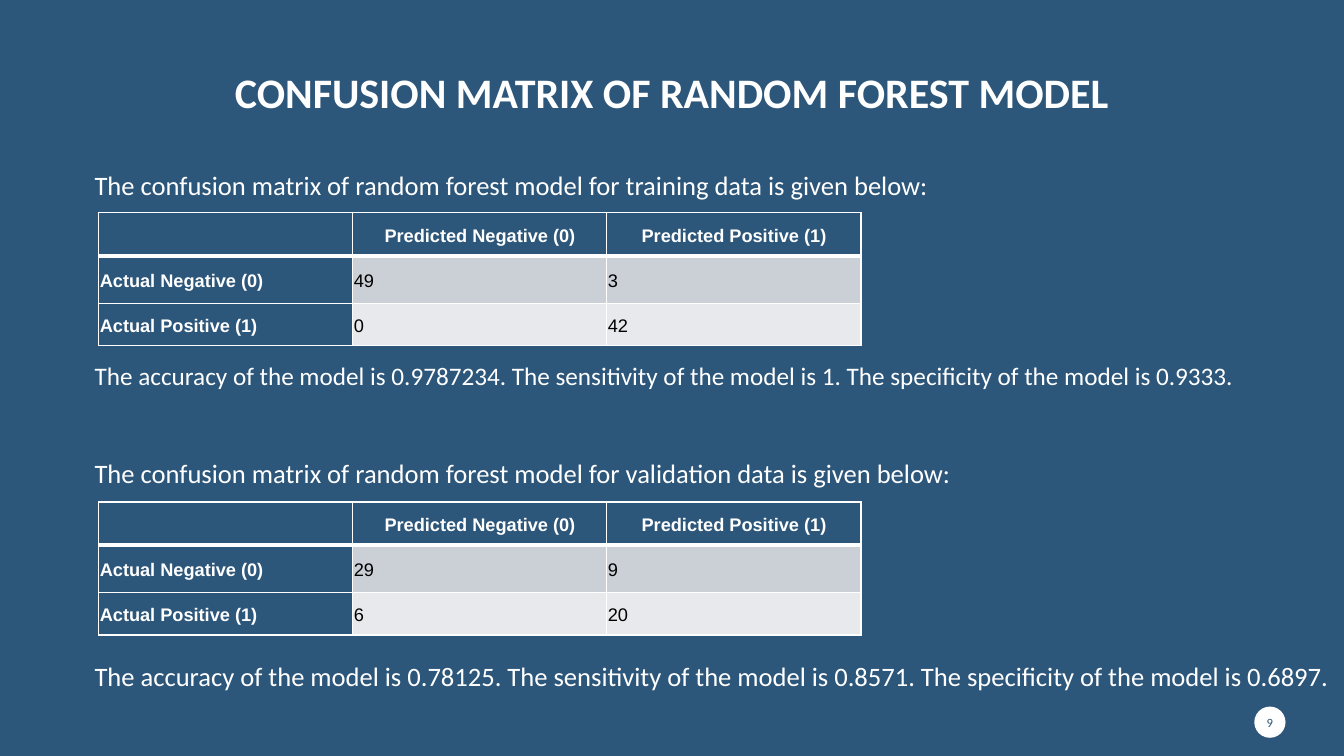
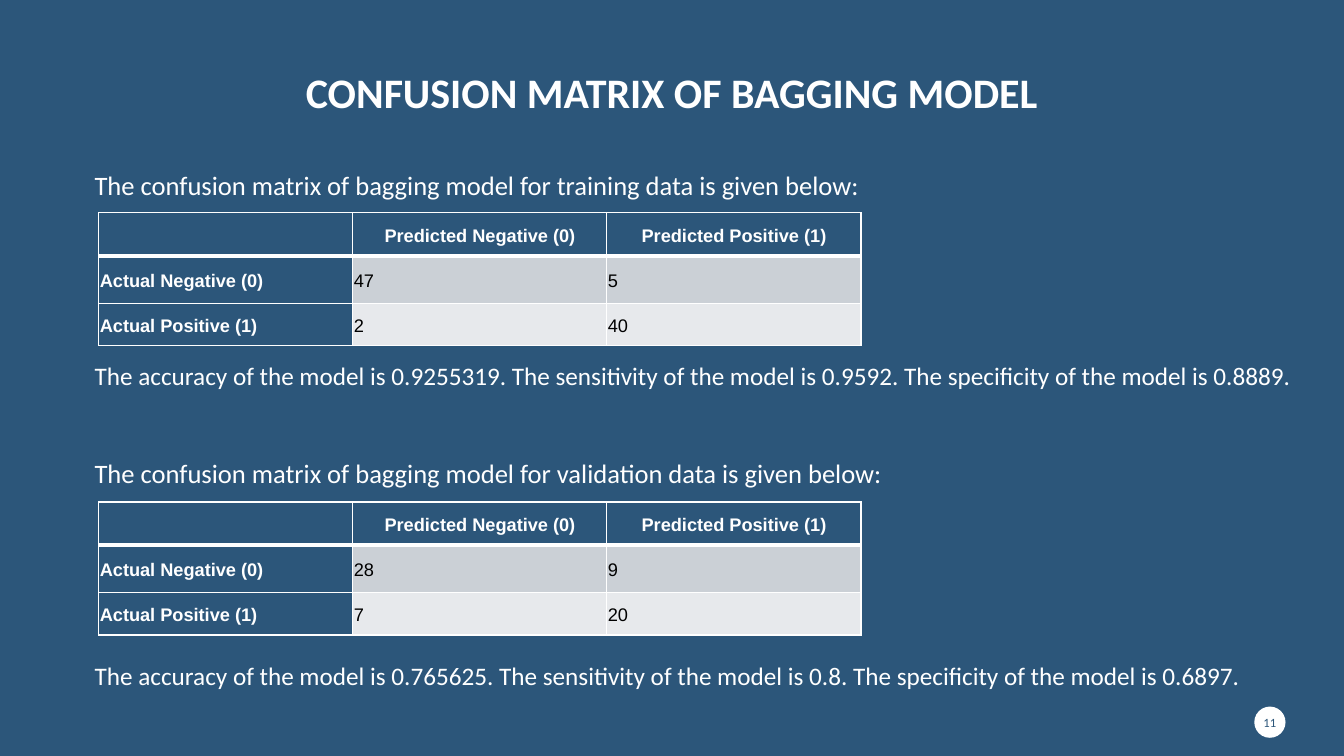
"""Build two slides of confusion matrices for classification models."""
from dataclasses import dataclass
from typing import Any, Optional

import lxml.etree
import pptx
import pptx.dml.color
import pptx.enum.shapes
import pptx.enum.text
import pptx.oxml.ns
import pptx.util

Inches = pptx.util.Inches
ALIGN = pptx.enum.text.PP_ALIGN
ANCHOR = pptx.enum.text.MSO_ANCHOR

BLUE, WHITE, BLACK = "2C567A", "FFFFFF", "000000"
ROW_FILLS = (BLUE, "CBD0D6", "E7E9EC")
ROW_HEIGHTS = (0.43, 0.47, 0.42)
COLUMN_WIDTH = 2.52
TEXT_LEFT, TABLE_LEFT = 0.84, 0.98
HEADER = ("", "Predicted Negative (0)", "Predicted Positive (1)")
ROW_LABELS = ("Actual Negative (0)", "Actual Positive (1)")


@dataclass(frozen=True)
class Panel:
    """Place of one data set's caption, table and metrics."""

    data_name: str
    caption_top: float
    caption_width: float
    table_top: float
    metrics_top: float


@dataclass(frozen=True)
class Result:
    """Counts and metrics of a model on one data set."""

    counts: tuple[tuple[int, int], tuple[int, int]]
    accuracy: str
    sensitivity: str
    specificity: str
    metrics_size: int = 18


@dataclass(frozen=True)
class ModelSlide:
    """Content of one model's slide."""

    model: str
    number: int
    results: tuple[Result, Result]


PANELS = (
    Panel("training", 1.63, 9.26, 2.11, 3.53),
    Panel("validation", 4.48, 9.54, 4.98, 6.5),
)
MODEL_SLIDES = (
    ModelSlide("random forest", 9, (
        Result(((49, 3), (0, 42)), "0.9787234", "1", "0.9333"),
        Result(((29, 9), (6, 20)), "0.78125", "0.8571", "0.6897", 19),
    )),
    ModelSlide("bagging", 11, (
        Result(((47, 5), (2, 40)), "0.9255319", "0.9592", "0.8889"),
        Result(((28, 9), (7, 20)), "0.765625", "0.8", "0.6897"),
    )),
)


def rgb(color: str) -> pptx.dml.color.RGBColor:
    """Turn a hex string into a colour."""
    return pptx.dml.color.RGBColor.from_string(color)


def set_fill(fill: Any, color: str) -> None:
    """Apply a solid fill."""
    fill.solid()
    fill.fore_color.rgb = rgb(color)


def write_text(frame: Any, text: str, *, size: float, color: str = WHITE,
               font: str = "Calibri", bold: bool = False,
               align: Any = ALIGN.LEFT, spacing: Optional[float] = None) -> None:
    """Write one formatted paragraph into a text frame."""
    frame.word_wrap = True
    paragraph = frame.paragraphs[0]
    paragraph.alignment = align
    paragraph.line_spacing = spacing
    run = paragraph.add_run()
    run.text = text
    run.font.name = font
    run.font.size = pptx.util.Pt(size)
    run.font.bold = bold
    run.font.color.rgb = rgb(color)


def add_title(slide: Any, text: str) -> None:
    """Place and fill the title placeholder."""
    title = slide.shapes.title
    title.left, title.top = Inches(1.14), Inches(0.45)
    title.width, title.height = Inches(11.05), Inches(0.77)
    title.text_frame.vertical_anchor = ANCHOR.BOTTOM
    write_text(title.text_frame, text, size=30, bold=True, align=ALIGN.CENTER, spacing=0.9)


def add_page_badge(slide: Any, number: int) -> None:
    """Draw the round badge with the page number."""
    badge = slide.shapes.add_shape(
        pptx.enum.shapes.MSO_SHAPE.OVAL,
        Inches(12.44), Inches(7.01), Inches(0.31), Inches(0.31))
    badge.shadow.inherit = False
    set_fill(badge.fill, WHITE)
    badge.line.fill.background()
    frame = badge.text_frame
    frame.margin_left = frame.margin_right = frame.margin_top = frame.margin_bottom = 0
    frame.vertical_anchor = ANCHOR.MIDDLE
    write_text(frame, str(number), size=9, color=BLUE, align=ALIGN.CENTER)
    frame.word_wrap = False


def add_sentence(slide: Any, text: str, top: float, width: float, size: float) -> None:
    """Add a line of body text."""
    box = slide.shapes.add_textbox(
        Inches(TEXT_LEFT), Inches(top), Inches(width), Inches(0.42))
    write_text(box.text_frame, text, size=size)


def add_border(cell: Any, side: str, width: float) -> None:
    """Add a white border to one side of a cell."""
    properties = cell._tc.get_or_add_tcPr()
    qualify = pptx.oxml.ns.qn
    line = lxml.etree.SubElement(
        properties, qualify(f"a:ln{side}"), w=str(int(pptx.util.Pt(width))))
    fill = lxml.etree.SubElement(line, qualify("a:solidFill"))
    lxml.etree.SubElement(fill, qualify("a:srgbClr"), val=WHITE)


def format_cell(cell: Any, text: str, row: int, column: int) -> None:
    """Fill a cell according to its place in the matrix."""
    is_label = row == 0 or column == 0
    for side in "LRTB":
        under_header = (row, side) in ((0, "B"), (1, "T"))
        add_border(cell, side, 3 if under_header else 1)
    set_fill(cell.fill, BLUE if is_label else ROW_FILLS[row])
    cell.margin_left = cell.margin_right = Inches(0.01)
    cell.margin_top = cell.margin_bottom = Inches(0.01)
    cell.vertical_anchor = ANCHOR.MIDDLE
    if text:
        write_text(cell.text_frame, text, size=13, font="Arial", bold=is_label,
                   color=WHITE if is_label else BLACK, spacing=1.15,
                   align=ALIGN.CENTER if row == 0 else ALIGN.LEFT)


def add_matrix(slide: Any, result: Result, top: float) -> None:
    """Add a confusion matrix as a table."""
    rows = [HEADER] + [(label, *map(str, counts))
                       for label, counts in zip(ROW_LABELS, result.counts)]
    table = slide.shapes.add_table(
        len(rows), len(HEADER), Inches(TABLE_LEFT), Inches(top),
        Inches(COLUMN_WIDTH * len(HEADER)), Inches(sum(ROW_HEIGHTS))).table
    table.first_row = table.horz_banding = False
    for column in table.columns:
        column.width = Inches(COLUMN_WIDTH)
    for row_index, texts in enumerate(rows):
        table.rows[row_index].height = Inches(ROW_HEIGHTS[row_index])
        for column_index, text in enumerate(texts):
            format_cell(table.cell(row_index, column_index), text, row_index, column_index)


def add_panel(slide: Any, model: str, panel: Panel, result: Result) -> None:
    """Add the caption, matrix and metrics of one data set."""
    add_matrix(slide, result, panel.table_top)
    add_sentence(
        slide,
        f"The confusion matrix of {model} model for {panel.data_name} data is given below:",
        panel.caption_top, panel.caption_width, 19)
    add_sentence(
        slide,
        f"The accuracy of the model is {result.accuracy}. "
        f"The sensitivity of the model is {result.sensitivity}. "
        f"The specificity of the model is {result.specificity}.",
        panel.metrics_top, 12.64, result.metrics_size)


def main() -> None:
    """Build and save the presentation."""
    presentation = pptx.Presentation()
    presentation.slide_width, presentation.slide_height = Inches(13.33), Inches(7.5)
    set_fill(presentation.slide_master.background.fill, BLUE)
    title_only = presentation.slide_layouts.get_by_name("Title Only")
    for content in MODEL_SLIDES:
        slide = presentation.slides.add_slide(title_only)
        add_title(slide, f"CONFUSION MATRIX OF {content.model.upper()} MODEL")
        add_page_badge(slide, content.number)
        for panel, result in zip(PANELS, content.results):
            add_panel(slide, content.model, panel, result)
    presentation.save("out.pptx")


if __name__ == "__main__":
    main()
